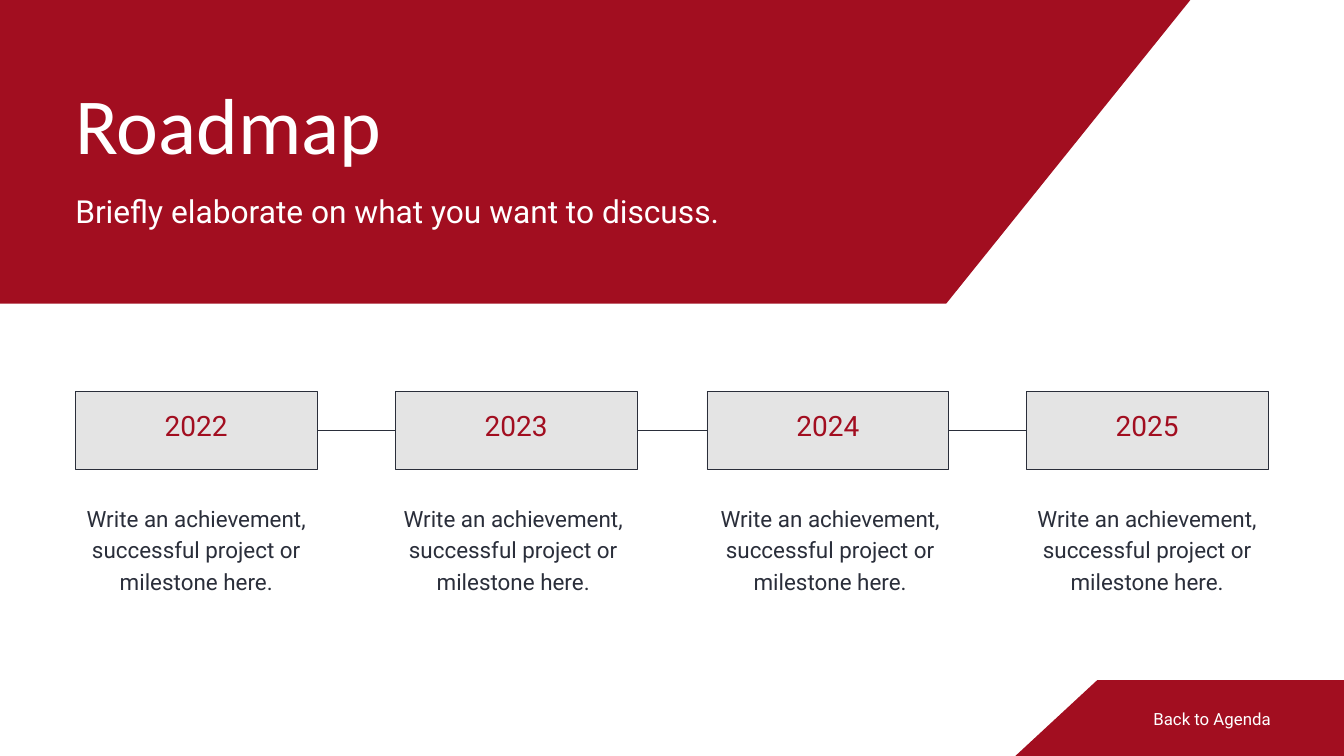
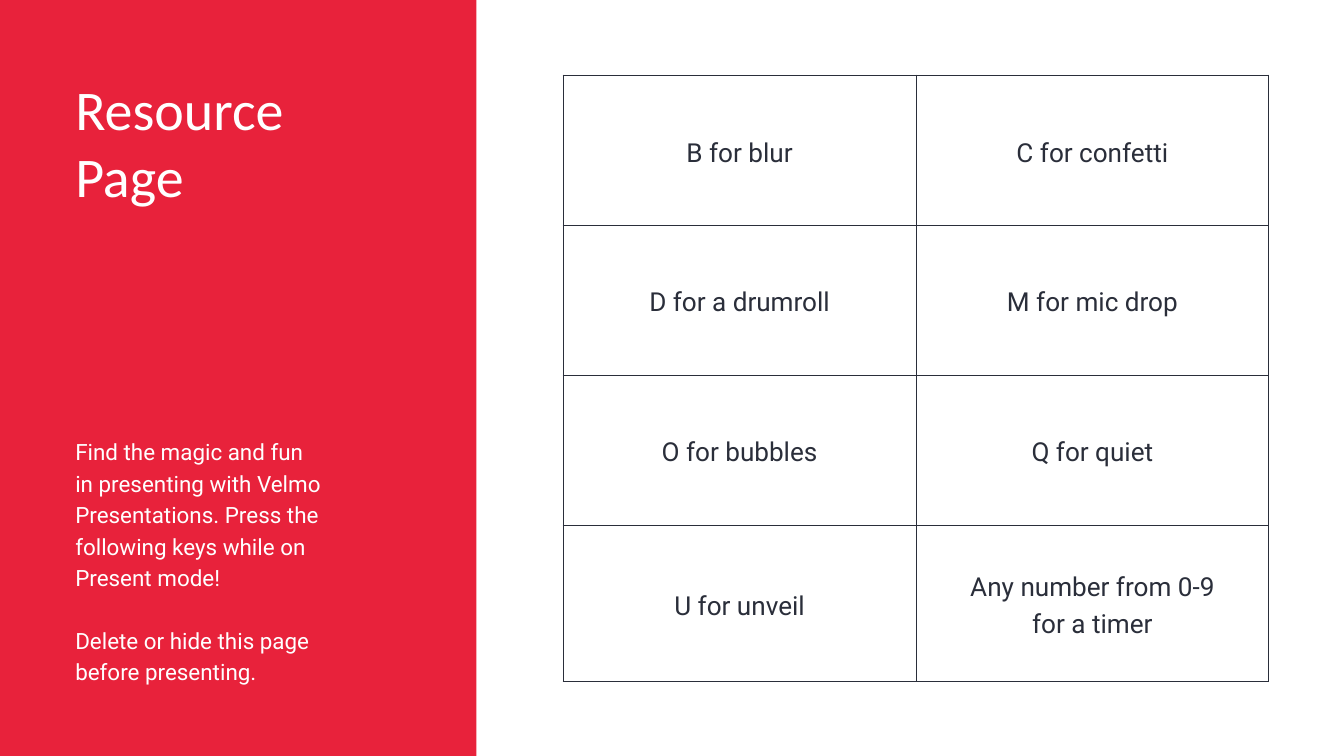
from lxml import etree
from pptx import Presentation
from pptx.dml.color import RGBColor
from pptx.enum.shapes import MSO_CONNECTOR, MSO_SHAPE
from pptx.enum.text import MSO_ANCHOR, MSO_AUTO_SIZE, PP_ALIGN
from pptx.oxml.ns import qn
from pptx.util import Inches, Pt

LEFT, CENTER, RIGHT = PP_ALIGN.LEFT, PP_ALIGN.CENTER, PP_ALIGN.RIGHT
TOP, MIDDLE = MSO_ANCHOR.TOP, MSO_ANCHOR.MIDDLE
NO_AUTOFIT = MSO_AUTO_SIZE.NONE
RECTANGLE = MSO_SHAPE.RECTANGLE
STRAIGHT = MSO_CONNECTOR.STRAIGHT
TITLE_AND_BODY = 1

COLORS = {
    "crimson": "A20E20",
    "scarlet": "E8223B",
    "ink": "2A2E3A",
    "gray": "E4E4E4",
    "white": "FFFFFF",
}
TITLE_FONT, TEXT_FONT = "Calibri", "Roboto"
MARGIN = 1.12
THIN, THICK = 0.75, 1.5


def color(name):
    return RGBColor.from_string(COLORS[name])


def write(frame, lines, size, spacing, ink, align=LEFT, font=TEXT_FONT):
    for index, line in enumerate(lines):
        para = frame.paragraphs[0] if index == 0 else frame.add_paragraph()
        para.text = line
        para.alignment = align
        para.line_spacing = Pt(spacing)
        para.space_before = para.space_after = Pt(0)
        para.font.size = Pt(size)
        para.font.name = font
        para.font.bold = False
        para.font.color.rgb = color(ink)


def set_frame(frame, anchor=TOP, insets=(0, 0, 0, 0)):
    frame.word_wrap = True
    frame.auto_size = NO_AUTOFIT
    frame.vertical_anchor = anchor
    sides = [Inches(inset) for inset in insets]
    frame.margin_left, frame.margin_top, frame.margin_right, frame.margin_bottom = sides


def fill_placeholder(page, holder, box, lines, size, spacing, font=TEXT_FONT):
    page.shapes.element.append(holder.element)
    holder.left, holder.top, holder.width, holder.height = map(Inches, box)
    set_frame(holder.text_frame)
    write(holder.text_frame, lines, size, spacing, "white", font=font)
    for para in holder.text_frame.paragraphs:
        properties = para._p.get_or_add_pPr()
        properties.set("marL", "0")
        properties.set("indent", "0")
        bullet = etree.Element(qn("a:buNone"))
        properties.find(qn("a:defRPr")).addprevious(bullet)


def add_text(page, box, lines, size, spacing, ink, align):
    text_box = page.shapes.add_textbox(*map(Inches, box))
    set_frame(text_box.text_frame)
    write(text_box.text_frame, lines, size, spacing, ink, align)


def paint(shape, fill, line=None):
    shape.shadow.inherit = False
    shape.fill.solid()
    shape.fill.fore_color.rgb = color(fill)
    if line:
        shape.line.color.rgb = color(line)
        shape.line.width = Pt(THIN)
    else:
        shape.line.fill.background()


def add_trapezoid(page, points):
    corners = [(Inches(x), Inches(y)) for x, y in points]
    builder = page.shapes.build_freeform(*corners[0], scale=1.0)
    builder.add_line_segments(corners[1:], close=True)
    paint(builder.convert_to_shape(), "crimson")


def add_header(page, box, title, subtitle):
    left, top, width, height = box
    slant = 4.8
    right, bottom = left + width, top + height
    add_trapezoid(page, [(left, top), (right, top), (right - slant, bottom),
                         (left + slant, bottom)])
    fill_placeholder(page, page.shapes.title, (MARGIN, bottom - 3.4, 13.11, 1.41),
                     [title], 85, 102, TITLE_FONT)
    fill_placeholder(page, page.placeholders[1], (MARGIN, bottom - 1.76, 10.59, 0.62),
                     [subtitle], 34, 47.6)


def add_year(page, box, year):
    block = page.shapes.add_shape(RECTANGLE, *map(Inches, box))
    paint(block, "gray", "ink")
    set_frame(block.text_frame, MIDDLE, (0.06, 0.06, 0.06, 0.29))
    write(block.text_frame, [year], 30, 42, "crimson", CENTER)
    return block


def join(page, start, end):
    link = page.shapes.add_connector(STRAIGHT, 0, 0, 0, 0)
    link.begin_connect(start, 3)
    link.end_connect(end, 1)
    link.line.color.rgb = color("ink")
    link.line.width = Pt(THIN)
    etree.SubElement(link.element.spPr, qn("a:effectLst"))


def add_timeline(page, box, milestones, caption):
    left, top, width, height = box
    block_width = 3.6
    step = (width - block_width) / (len(milestones) - 1)
    blocks = [add_year(page, (left + offset, top, block_width, 1.17), year)
              for year, offset in milestones]
    for start, end in zip(blocks, blocks[1:]):
        join(page, start, end)
    for index in range(len(milestones)):
        add_text(page, (left + index * step, top + 1.63, block_width, height - 1.63),
                 [caption], 24, 33.6, "ink", CENTER)


def add_back_label(page, box, label):
    left, top, width, height = box
    slant = 1.22
    right, bottom = left + width, top + height
    add_trapezoid(page, [(left + slant, top), (right - slant, top),
                         (right, bottom), (left, bottom)])
    add_text(page, (left + 1.59, top + 0.4, 2.21, 0.32), [label], 18, 23.4, "white", RIGHT)


def add_side_panel(page, box, title_lines, body_lines):
    left, top, width, height = box
    panel = page.shapes.add_shape(RECTANGLE, *map(Inches, box))
    paint(panel, "scarlet")
    fill_placeholder(page, page.shapes.title, (left + MARGIN, top + 1.11, 5.07, 2.01),
                     title_lines, 60, 72, TITLE_FONT)
    body = page.placeholders[1]
    fill_placeholder(page, body, (left + MARGIN, top + height - 4.79, 4.71, 3.66),
                     body_lines, 24, 33.6)
    body.text_frame.paragraphs[3].space_before = Pt(33.6)


def add_border(cell, side, width):
    line = etree.SubElement(cell._tc.get_or_add_tcPr(), qn(f"a:ln{side}"), w=str(Pt(width)))
    fill = etree.SubElement(line, qn("a:solidFill"))
    etree.SubElement(fill, qn("a:srgbClr"), val=COLORS["ink"])


def add_key_table(page, box, keys, row_heights):
    row_count, column_count = len(keys), len(keys[0])
    frame = page.shapes.add_table(row_count, column_count, *map(Inches, box))
    table = frame.table
    table.first_row = table.horz_banding = False
    for row, height in zip(table.rows, row_heights):
        row.height = Inches(height)
    for row, labels in enumerate(keys):
        for column, label in enumerate(labels):
            cell = table.cell(row, column)
            outer = {"L": column == 0, "R": column == column_count - 1,
                     "T": row == 0, "B": row == row_count - 1}
            for side, is_outer in outer.items():
                add_border(cell, side, THICK if is_outer else THIN)
            cell.fill.background()
            cell.vertical_anchor = MIDDLE
            cell.margin_left = cell.margin_right = Inches(0.21)
            cell.margin_top = cell.margin_bottom = Inches(0.21)
            write(cell.text_frame, label.split("\n"), 28, 39.2, "ink", CENTER)


def build_roadmap(deck):
    page = deck.slides.add_slide(deck.slide_layouts[TITLE_AND_BODY])
    add_header(page, (-5.02, -1.45, 23.9, 5.97), "Roadmap",
               "Briefly elaborate on what you want to discuss.")
    add_timeline(page, (MARGIN, 5.82, 17.75, 3),
                 [("2022", 0), ("2023", 4.76), ("2024", 9.4), ("2025", 14.15)],
                 "Write an achievement, successful project or milestone here.")
    add_back_label(page, (15.11, 10.12, 6.3, 1.13), "Back to Agenda")


def build_resources(deck):
    page = deck.slides.add_slide(deck.slide_layouts[TITLE_AND_BODY])
    add_side_panel(page, (0, 0, 7.09, 11.25), ["Resource", "Page"], [
        "Find the magic and fun",
        "in presenting with Velmo Presentations. Press the following keys while on",
        "Present mode!",
        "Delete or hide this page",
        "before presenting.",
    ])
    add_key_table(page, (8.38, MARGIN, 10.5, 9.02), [
        ("B for blur", "C for confetti"),
        ("D for a drumroll", "M for mic drop"),
        ("O for bubbles", "Q for quiet"),
        ("U for unveil", "Any number from 0-9\nfor a timer"),
    ], (2.23, 2.23, 2.23, 2.33))


def main():
    deck = Presentation()
    deck.slide_width, deck.slide_height = Inches(20), Inches(11.25)
    build_roadmap(deck)
    build_resources(deck)
    deck.save("out.pptx")


if __name__ == "__main__":
    main()
